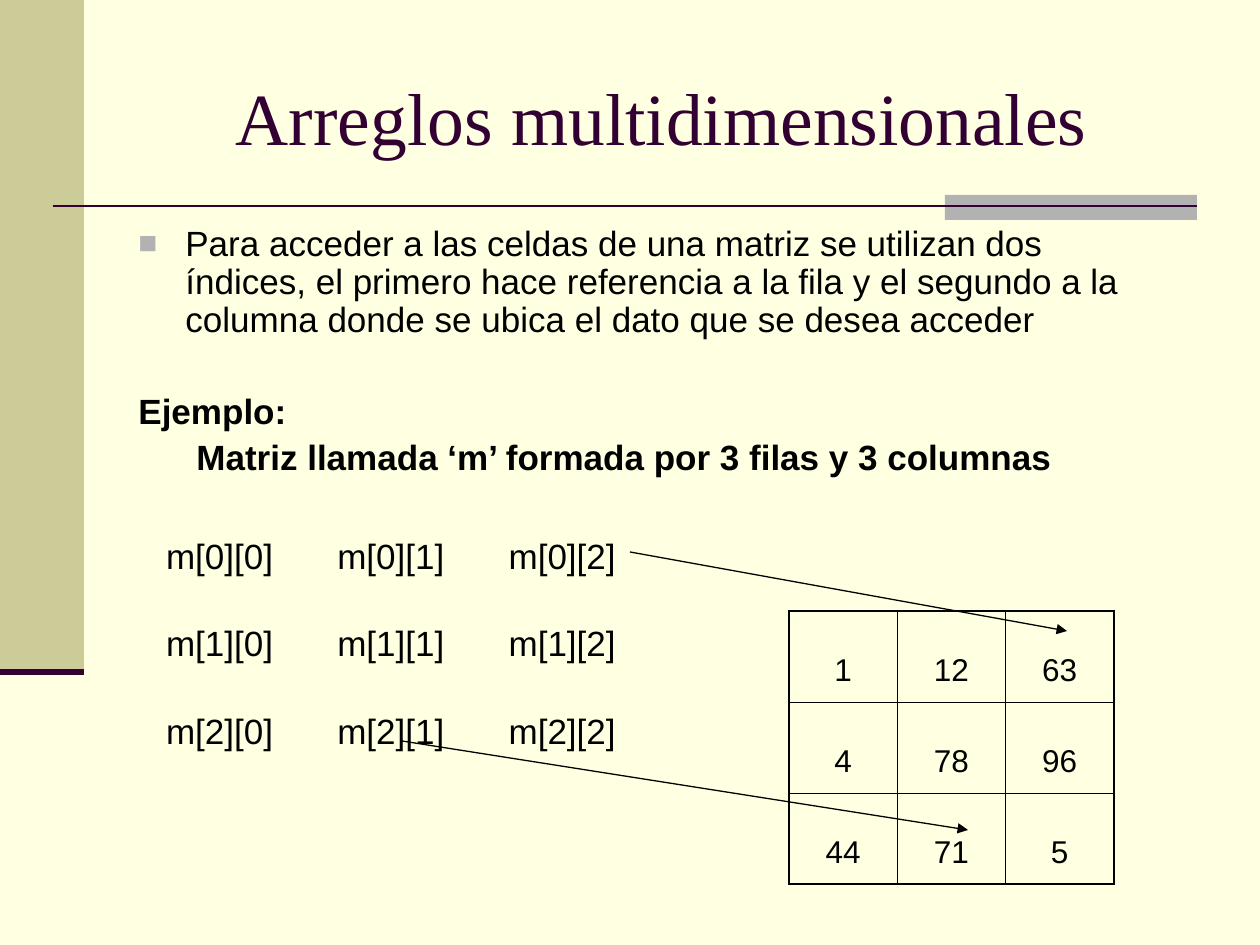
from lxml import etree
from pptx import Presentation, util as u
from pptx.dml.color import RGBColor
from pptx.enum import shapes, text
from pptx.oxml import ns

PX = 914400 / 126
CREAM, PLUM, GRAY, BLACK = "FFFFE1", "330033", "B2B2B2", "000000"


def px(n):
    return u.Emu(round(n * PX))


def rgb(code):
    return RGBColor.from_string(code)


def sub(parent, tag, **attrs):
    return etree.SubElement(parent, ns.qn(tag), attrs)


def style(par, size, color=BLACK, font="Arial", bold=False):
    for run in par.runs:
        run.font.size, run.font.name = u.Pt(size), font
        run.font.bold, run.font.color.rgb = bold, rgb(color)


def rect(slide, x, y, w, h, color):
    box = slide.shapes.add_shape(shapes.MSO_SHAPE.RECTANGLE, *map(px, (x, y, w, h)))
    box.shadow.inherit = False
    box.fill.solid()
    box.fill.fore_color.rgb = rgb(color)
    box.line.fill.background()


def line(slide, x1, y1, x2, y2, color=BLACK, width=0.75, arrow=False):
    link = slide.shapes.add_connector(
        shapes.MSO_CONNECTOR.STRAIGHT, *map(px, (x1, y1, x2, y2)))
    link.line.color.rgb = rgb(color)
    link.line.width = u.Pt(width)
    if arrow:
        sub(link.line._get_or_add_ln(), "a:tailEnd", type="triangle")
    sub(link._element.spPr, "a:effectLst")


def frame(slide, x, y, w, h):
    """Add a wrapping text box and return its text frame."""
    tf = slide.shapes.add_textbox(*map(px, (x, y, w, h))).text_frame
    tf.word_wrap = True
    return tf


def decor(slide, x, y):
    """Side band, title rule and its gray accent."""
    rect(slide, x, y, 84, 672, "CCCC99")
    rect(slide, x + 945, y + 195, 252, 25, GRAY)
    line(slide, x + 53, y + 206, x + 1197, y + 206, PLUM, 1.5)
    line(slide, x, y + 672, x + 84, y + 672, PLUM, 3.5)


def title(slide, x, y, w, h):
    tf = frame(slide, x, y, w, h)
    tf.vertical_anchor = text.MSO_ANCHOR.MIDDLE
    par = tf.paragraphs[0]
    par.text = "Arreglos multidimensionales"
    par.alignment = text.PP_ALIGN.CENTER
    style(par, 42, PLUM, "Times New Roman")


def body(slide, x, y, w, h):
    tf = frame(slide, x, y, w, h)
    # text, left margin, first-line indent, space before, bold
    rows = [
        ("Para acceder a las celdas de una matriz se utilizan dos índices, "
         "el primero hace referencia a la fila y el segundo a la columna "
         "donde se ubica el dato que se desea acceder", 47, -47, 5, False),
        ("Ejemplo:", 0, 0, 31, True),
        ("Matriz llamada ‘m’ formada por 3 filas y 3 columnas", 58, 0, 5, True),
    ]
    for i, (words, left, indent, gap, bold) in enumerate(rows):
        par = tf.add_paragraph() if i else tf.paragraphs[0]
        par.text = words
        par.line_spacing, par.space_before = 0.9, u.Pt(gap)
        style(par, 20, bold=bold)
        props = par._p.get_or_add_pPr()
        props.set("marL", str(px(left)))
        props.set("indent", str(px(indent)))
    props = tf.paragraphs[0]._p.pPr
    sub(sub(props, "a:buClr"), "a:srgbClr", val=GRAY)
    sub(props, "a:buSzPct", val="90000")
    sub(props, "a:buFont", typeface="Arial")
    sub(props, "a:buChar", char="■")


def border(cell, widths, color):
    """Set the left, right, top and bottom edges, in points."""
    props = cell._tc.get_or_add_tcPr()
    for i, (side, width) in enumerate(zip("LRTB", widths)):
        edge = etree.Element(ns.qn("a:ln" + side), w=str(u.Pt(width)))
        sub(sub(edge, "a:solidFill"), "a:srgbClr", val=color)
        props.insert(i, edge)


def grid(slide, x, y, w, h, data, size, color, outer, top):
    """Draw a table with thin inner edges and the given outer edge width."""
    rows, cols = len(data), len(data[0])
    table = slide.shapes.add_table(rows, cols, *map(px, (x, y, w, h))).table
    table.first_row = table.horz_banding = False
    for r, values in enumerate(data):
        for c, value in enumerate(values):
            cell = table.cell(r, c)
            cell.fill.background()
            cell.margin_top = px(top)
            cell.text_frame.text = str(value)
            par = cell.text_frame.paragraphs[0]
            par.alignment = text.PP_ALIGN.CENTER
            style(par, size)
            ends = (c == 0, c == cols - 1, r == 0, r == rows - 1)
            border(cell, [outer if end else 0.45 for end in ends], color)


def main():
    deck = Presentation()
    deck.slide_width, deck.slide_height = px(1260), px(945)
    slide = deck.slides.add_slide(deck.slide_layouts[6])
    slide.background.fill.solid()
    slide.background.fill.fore_color.rgb = rgb(CREAM)
    decor(slide, 0, 0)
    title(slide, 126, 38, 1071, 157)
    body(slide, 126, 220, 1029, 282)
    values = [[1, 12, 63], [4, 78, 96], [44, 71, 5]]
    names = [[f"m[{r}][{c}]" for c in range(3)] for r in range(3)]
    grid(slide, 789, 611, 325, 273, values, 18, BLACK, 1.08, 42)
    grid(slide, 134, 532, 514, 262, names, 20, CREAM, 0.45, 6)
    line(slide, 630, 552, 1067, 631, arrow=True)
    line(slide, 402, 741, 968, 830, arrow=True)
    deck.save("out.pptx")


if __name__ == "__main__":
    main()
